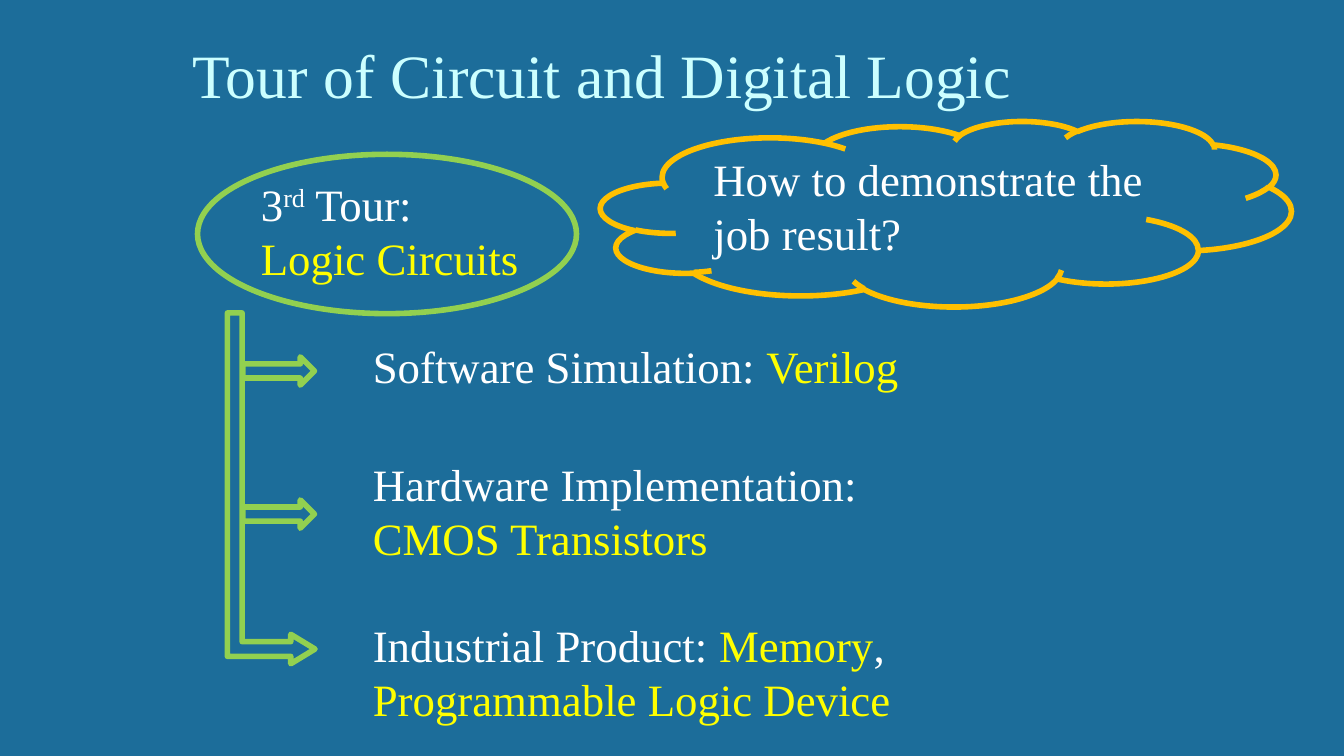
from pptx import Presentation
from pptx.dml.color import RGBColor
from pptx.enum.shapes import MSO_SHAPE
from pptx.enum.text import MSO_ANCHOR, MSO_AUTO_SIZE, PP_ALIGN
from pptx.util import Pt

FONT = "Times New Roman"
BLUE, CYAN, WHITE = "1C6D9A", "CCFFFF", "FFFFFF"
YELLOW, GREEN, ORANGE = "FFFF00", "92D050", "FFC000"


def color(hex_text):
    return RGBColor.from_string(hex_text)


def format_span(span, size, hex_text):
    span.font.name = FONT
    span.font.size = Pt(size)
    span.font.color.rgb = color(hex_text)


def add_text(page, left, top, width, height, paragraphs):
    """Each paragraph is a list of (text, colour) or (text, colour, baseline)."""
    box = page.shapes.add_textbox(Pt(left), Pt(top), Pt(width), Pt(height))
    frame = box.text_frame
    frame.word_wrap = True
    frame.auto_size = MSO_AUTO_SIZE.SHAPE_TO_FIT_TEXT
    for index, pieces in enumerate(paragraphs):
        para = frame.add_paragraph() if index else frame.paragraphs[0]
        for text, hex_text, *baseline in pieces:
            span = para.add_run()
            span.text = text
            format_span(span, 32, hex_text)
            if baseline:
                span.font._element.set("baseline", str(baseline[0] * 1000))


def add_outline(page, kind, left, top, width, height, hex_text):
    shape = page.shapes.add_shape(kind, Pt(left), Pt(top), Pt(width), Pt(height))
    shape.shadow.inherit = False
    shape.fill.background()
    shape.line.color.rgb = color(hex_text)
    shape.line.width = Pt(4)
    return shape


def add_title(page, left, top, width, height):
    title = page.shapes.title
    title.left, title.top = Pt(left), Pt(top)
    title.width, title.height = Pt(width), Pt(height)
    frame = title.text_frame
    frame.text = "Tour of Circuit and Digital Logic"
    frame.word_wrap = True
    frame.auto_size = MSO_AUTO_SIZE.SHAPE_TO_FIT_TEXT
    frame.vertical_anchor = MSO_ANCHOR.BOTTOM
    para = frame.paragraphs[0]
    para.alignment = PP_ALIGN.LEFT
    format_span(para.runs[0], 44, CYAN)


def add_tour(page, left, top, width, height):
    add_text(page, left + 38.2, top + 12.3, 266.4, 85,
             [[("3", WHITE), ("rd", WHITE, 30), (" Tour:", WHITE)],
              [("Logic Circuits", YELLOW)]])
    add_outline(page, MSO_SHAPE.OVAL, left, top, width, height, GREEN)


def add_question(page, left, top, width, height):
    add_text(page, left + 73.4, top + 18.7, 360, 85,
             [[("How to demonstrate the job result?", WHITE)]])
    add_outline(page, MSO_SHAPE.CLOUD, left, top, width, height, ORANGE)


def add_branches(page, left, top, width, height):
    """A trunk bending into the last branch, with two arrows leaving it."""
    # Trunk: drawn lying down, then turned upright about its centre
    trunk = add_outline(page, MSO_SHAPE.BENT_UP_ARROW,
                        left + (width - height) / 2, top + (height - width) / 2,
                        height, width, GREEN)
    trunk.rotation = 90
    for index, value in enumerate((0.168, 0.168, 0.277)):
        trunk.adjustments[index] = value

    # Side arrows
    for arrow_top in (31.4, 133.6):
        add_outline(page, MSO_SHAPE.RIGHT_ARROW, left + 11.1, top + arrow_top,
                    51.1, 20.2, GREEN)

    # Branch texts
    branches = [
        (14.8, 461.5, 46, [("Software Simulation: ", WHITE), ("Verilog", YELLOW)]),
        (99.1, 402.5, 85, [("Hardware Implementation: ", WHITE),
                           ("CMOS Transistors", YELLOW)]),
        (214.3, 461.5, 85, [("Industrial Product: ", WHITE), ("Memory", YELLOW),
                            (", ", WHITE), ("Programmable Logic Device", YELLOW)]),
    ]
    for text_top, text_width, text_height, pieces in branches:
        add_text(page, left + 96.8, top + text_top, text_width, text_height, [pieces])


def main():
    deck = Presentation()
    deck.slide_width, deck.slide_height = Pt(960), Pt(540)
    page = deck.slides.add_slide(deck.slide_layouts[5])
    page.background.fill.solid()
    page.background.fill.fore_color.rgb = color(BLUE)

    add_title(page, 130.3, 22.3, 612, 60.5)
    add_tour(page, 141.1, 110.2, 270.7, 113.8)
    add_branches(page, 162.4, 223.5, 62.6, 250.6)
    add_question(page, 429.1, 86.4, 493.2, 132.5)
    deck.save("out.pptx")


if __name__ == "__main__":
    main()
